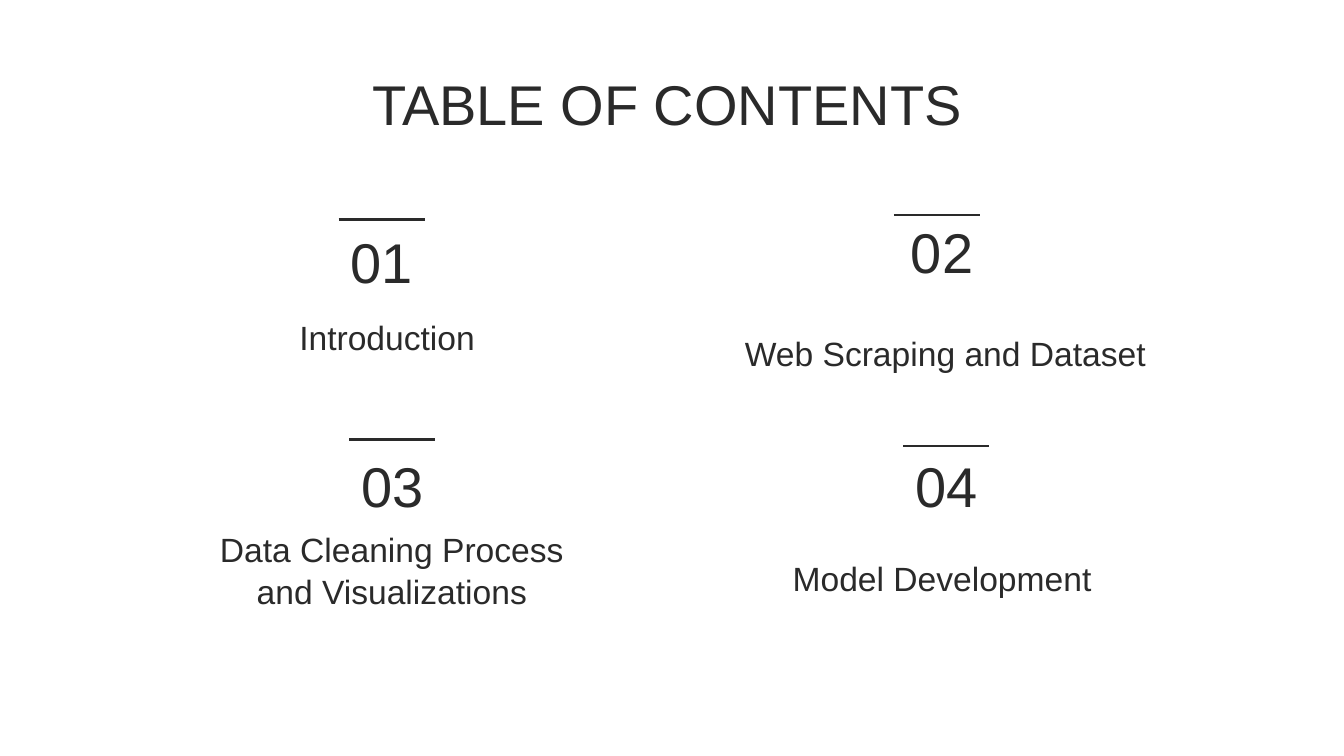
from dataclasses import dataclass

from lxml.etree import SubElement
from pptx import Presentation
from pptx.dml.color import RGBColor
from pptx.enum.shapes import MSO_CONNECTOR
from pptx.enum.text import MSO_ANCHOR, PP_ALIGN
from pptx.oxml.ns import qn
from pptx.util import Pt

INK = RGBColor(0x2A, 0x2A, 0x2A)
WHITE = RGBColor(0xFF, 0xFF, 0xFF)
FONT = "Arial"
INSET = 7.2
NUMBER_SIZE = (57.6, 35.3)
RULE_WIDTH = 46.1
HEADING_HEIGHT = 35.3


@dataclass(frozen=True)
class Section:
    """One entry of the contents; positions are in points."""
    number: str
    heading: str
    rule: tuple[float, float]
    number_at: tuple[float, float]
    heading_at: tuple[float, float]
    heading_width: float


SECTIONS = [
    Section("01", "Introduction ", (181.4, 117.8), (175.7, 129.6), (93.6, 163.4), 232.6),
    Section("02", "Web Scraping and Dataset", (478.8, 115.2), (475.9, 124.6), (390.2, 172), 232.6),
    Section("03", "Data Cleaning Process and Visualizations",
            (187.2, 235.4), (181.4, 249.8), (104.4, 299.5), 211),
    Section("04", "Model Development", (483.8, 239), (478.1, 249.8), (414, 292.3), 181.4),
]


def write(shape, text: str, *, size: float, anchor=MSO_ANCHOR.BOTTOM,
          line_spacing: float = 1.0) -> None:
    frame = shape.text_frame
    frame.word_wrap = True
    frame.vertical_anchor = anchor
    frame.margin_left = frame.margin_right = Pt(INSET)
    frame.margin_top = frame.margin_bottom = Pt(INSET)
    frame.text = text
    paragraph = frame.paragraphs[0]
    paragraph.alignment = PP_ALIGN.CENTER
    paragraph.line_spacing = line_spacing
    font = paragraph.runs[0].font
    font.name = FONT
    font.size = Pt(size)
    font.color.rgb = INK


def draw_rule(slide, left: float, top: float) -> None:
    rule = slide.shapes.add_connector(
        MSO_CONNECTOR.STRAIGHT, Pt(left), Pt(top), Pt(left + RULE_WIDTH), Pt(top))
    rule.line.color.rgb = INK
    rule.line.width = Pt(1.5)
    SubElement(rule._element.spPr, qn("a:effectLst"))


def draw_section(slide, section: Section) -> None:
    draw_rule(slide, *section.rule)
    number = slide.shapes.add_textbox(*map(Pt, section.number_at + NUMBER_SIZE))
    write(number, section.number, size=30)
    heading = slide.shapes.add_textbox(
        *map(Pt, section.heading_at), Pt(section.heading_width), Pt(HEADING_HEIGHT))
    write(heading, section.heading, size=18, line_spacing=1.06)


def main() -> None:
    deck = Presentation()
    deck.slide_width, deck.slide_height = Pt(720), Pt(405)
    slide = deck.slides.add_slide(deck.slide_layouts[5])
    slide.background.fill.solid()
    slide.background.fill.fore_color.rgb = WHITE

    # Slide title
    title = slide.shapes.title
    title.left, title.top, title.width, title.height = map(Pt, (54, 30.2, 607, 45.4))
    write(title, "TABLE OF CONTENTS", size=30, anchor=MSO_ANCHOR.TOP)

    # Numbered sections
    for section in SECTIONS:
        draw_section(slide, section)

    deck.save("out.pptx")


if __name__ == "__main__":
    main()
